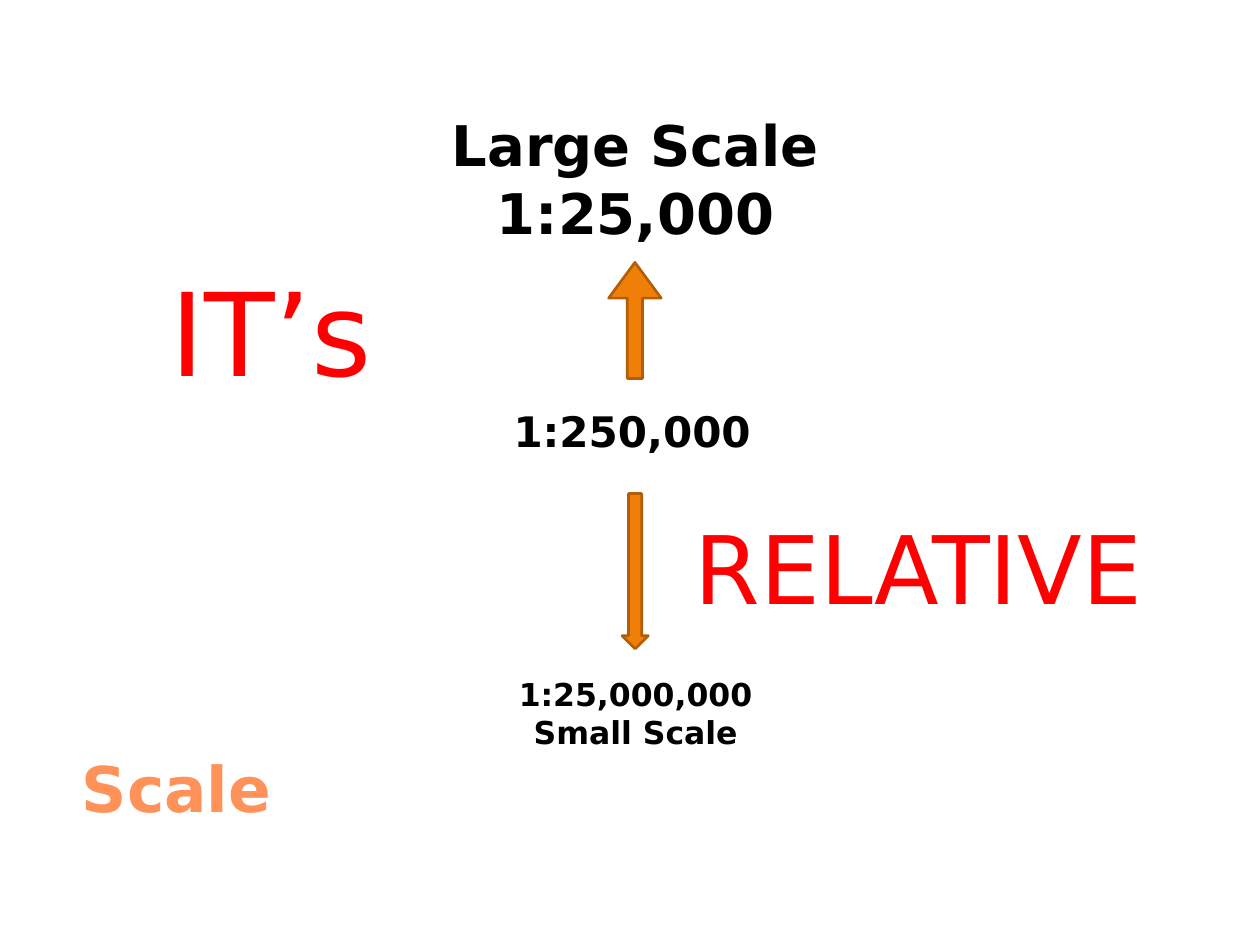
from dataclasses import dataclass

from pptx import Presentation
from pptx import util as u
from pptx.dml.color import RGBColor
from pptx.enum import shapes, text


@dataclass(frozen=True)
class Theme:
    font: str = "DejaVu Sans"
    ink: str = "000000"
    accent: str = "FF9258"
    callout: str = "FF0000"
    arrow: str = "F07F09"
    arrow_edge: str = "B25E07"
    title: int = 36
    large: int = 32
    medium: int = 24
    small: int = 18
    relative: int = 54
    its: int = 66
    edge: float = 1.5


def write(para, words, *, font, size, color, bold=False, align=text.PP_ALIGN.LEFT):
    para.alignment = align
    span = para.add_run()
    span.text = words
    span.font.name = font
    span.font.size = u.Pt(size)
    span.font.bold = bold
    span.font.color.rgb = RGBColor.from_string(color)


class SlideBuilder:
    def __init__(self, page, theme):
        self.page = page
        self.theme = theme

    def text_box(self, lines, left, top, width, height, *, wrap=True,
                 anchor=text.MSO_ANCHOR.TOP, **style):
        box = self.page.shapes.add_textbox(u.Cm(left), u.Cm(top), u.Cm(width), u.Cm(height))
        frame = box.text_frame
        frame.word_wrap = wrap
        frame.vertical_anchor = anchor
        for index, line in enumerate(lines):
            para = frame.add_paragraph() if index else frame.paragraphs[0]
            write(para, line, font=self.theme.font, **style)

    def scale_label(self, lines, left, top, height, size):
        self.text_box(lines, left, top, 19.69, height, size=size, color=self.theme.ink,
                      bold=True, align=text.PP_ALIGN.CENTER)

    def block_arrow(self, kind, left, top, width, height, adjustments=()):
        arrow = self.page.shapes.add_shape(kind, u.Cm(left), u.Cm(top), u.Cm(width), u.Cm(height))
        arrow.shadow.inherit = False
        for index, value in enumerate(adjustments):
            arrow.adjustments[index] = value
        arrow.fill.solid()
        arrow.fill.fore_color.rgb = RGBColor.from_string(self.theme.arrow)
        arrow.line.color.rgb = RGBColor.from_string(self.theme.arrow_edge)
        arrow.line.width = u.Pt(self.theme.edge)


def main():
    deck = Presentation()
    deck.slide_width, deck.slide_height = u.Cm(25.4), u.Cm(19.05)
    theme = Theme()
    slide = SlideBuilder(deck.slides.add_slide(deck.slide_layouts[6]), theme)

    slide.text_box(["Scale"], 1.4, 13.84, 22.73, 2.92, anchor=text.MSO_ANCHOR.BOTTOM,
                   size=theme.title, color=theme.accent, bold=True)

    slide.scale_label(["1:250,000"], 2.9, 8.05, 1.27, theme.medium)
    slide.scale_label(["Large Scale", "1:25,000"], 2.97, 2.11, 3, theme.large)
    slide.scale_label(["1:25,000,000", "Small Scale"], 2.97, 13.49, 1.8, theme.small)

    arrows = shapes.MSO_SHAPE
    slide.block_arrow(arrows.UP_ARROW, 12.27, 5.29, 1.06, 2.34, (0.29, 0.68))
    slide.block_arrow(arrows.DOWN_ARROW, 12.54, 9.95, 0.53, 3.13)

    slide.text_box(["RELATIVE"], 13.76, 10.16, 9.86, 2.57, wrap=False,
                   size=theme.relative, color=theme.callout)
    slide.text_box(["IT’s"], 3.18, 5.13, 5.51, 3.07, size=theme.its, color=theme.callout)

    deck.save("out.pptx")


if __name__ == "__main__":
    main()
